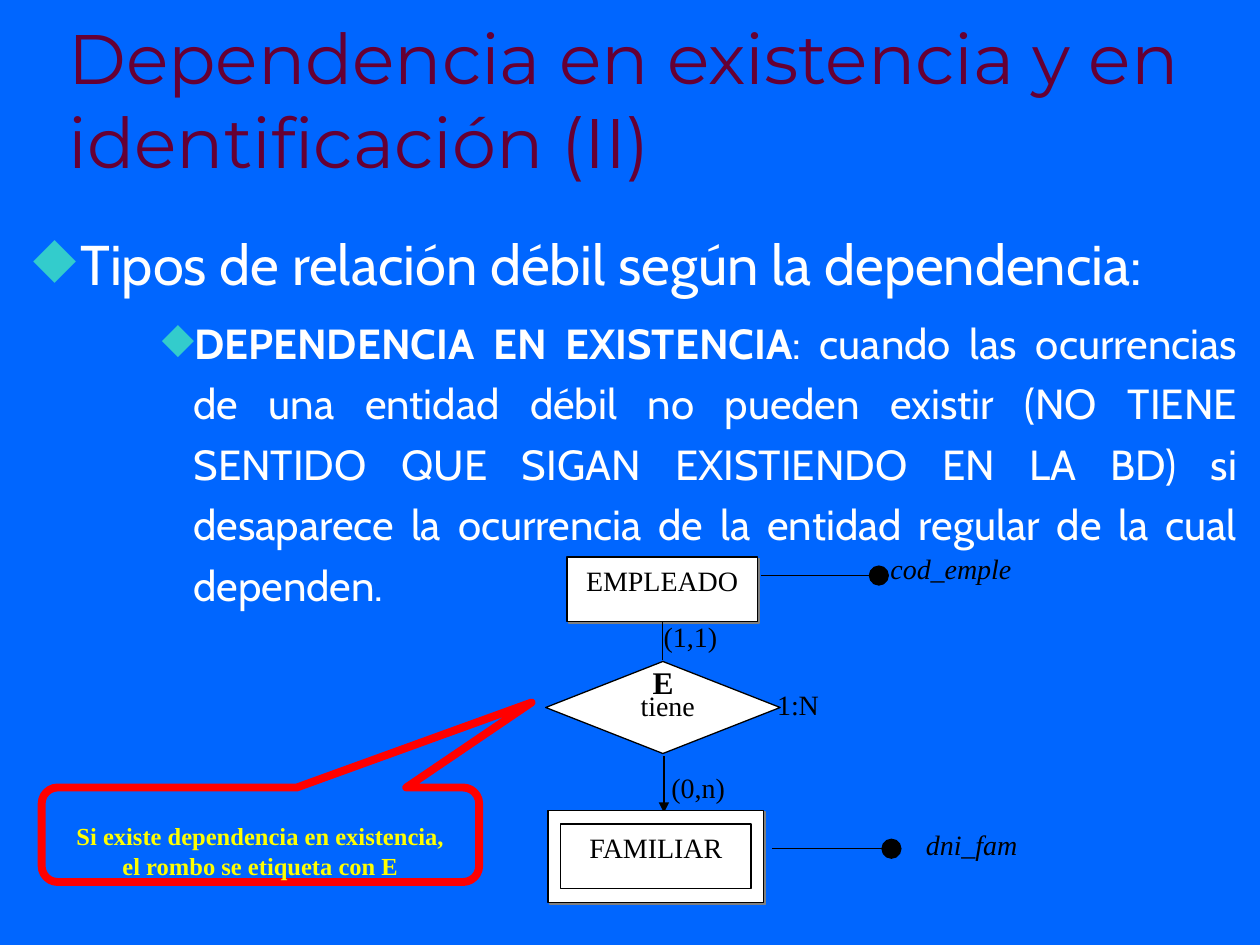
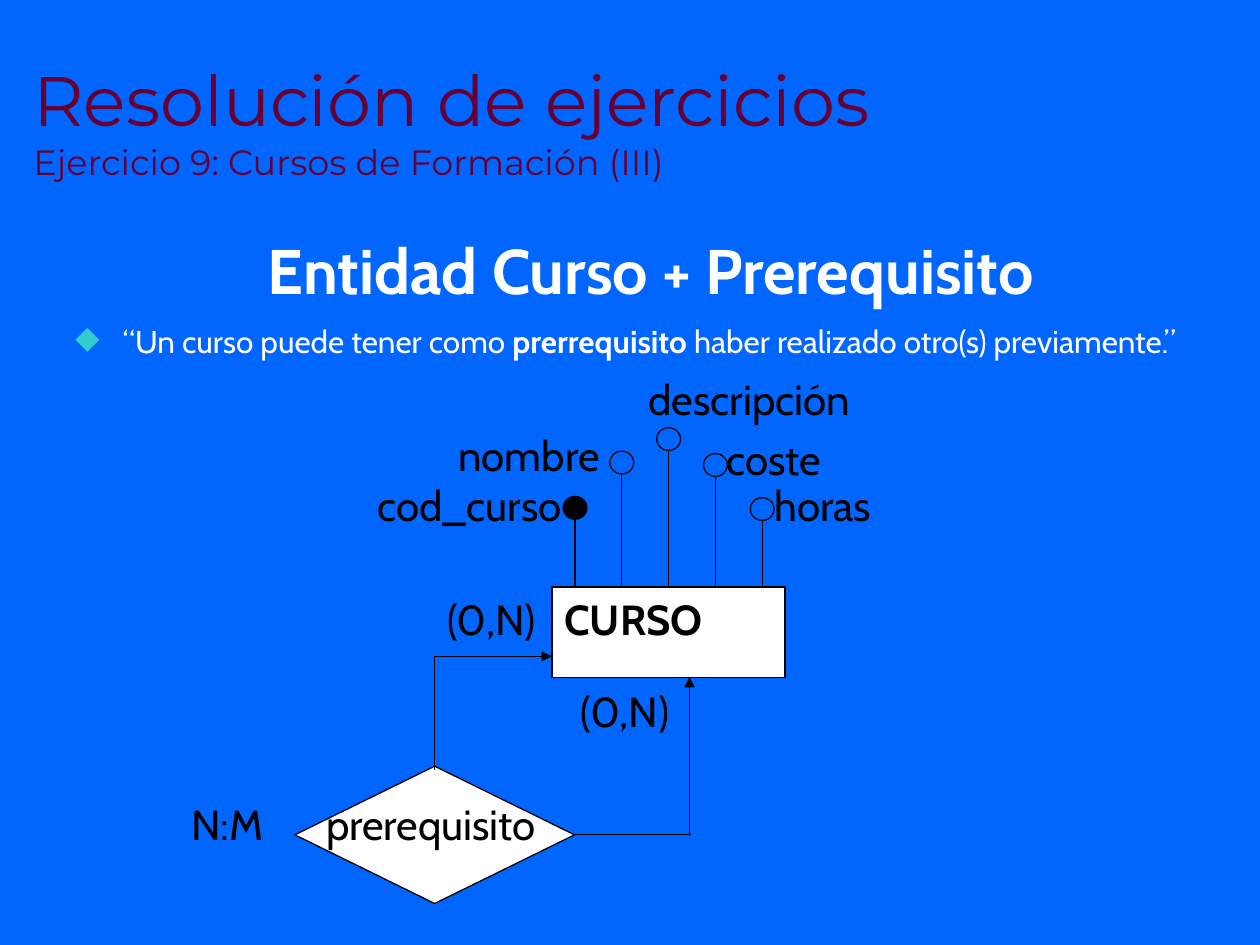
from lxml import etree
from pptx import Presentation
from pptx.dml.color import RGBColor
from pptx.enum.shapes import MSO_CONNECTOR, MSO_SHAPE
from pptx.enum.text import MSO_ANCHOR, PP_ALIGN
from pptx.oxml.ns import qn
from pptx.util import Pt

RECT, OVAL, DIAMOND = MSO_SHAPE.RECTANGLE, MSO_SHAPE.OVAL, MSO_SHAPE.DIAMOND
DECISION = MSO_SHAPE.FLOWCHART_DECISION
CALLOUT = MSO_SHAPE.ROUNDED_RECTANGULAR_CALLOUT
STRAIGHT = MSO_CONNECTOR.STRAIGHT
TOP, MIDDLE, BOTTOM = MSO_ANCHOR.TOP, MSO_ANCHOR.MIDDLE, MSO_ANCHOR.BOTTOM
LEFT, CENTER, JUSTIFY = PP_ALIGN.LEFT, PP_ALIGN.CENTER, PP_ALIGN.JUSTIFY

BLUE, MAROON, TEAL, GRAY = "0066FF", "660033", "33CCCC", "808080"
WHITE, BLACK, RED, YELLOW = "FFFFFF", "000000", "FF0000", "FFFF00"

TITLE = {"name": "Montserrat", "size": Pt(40), "color": MAROON}
BODY = {"name": "Cabin", "size": Pt(32), "color": WHITE}
SERIF = {"name": "Times New Roman", "size": Pt(16), "color": BLACK}
ATTRIBUTE = {**SERIF, "italic": True}
SANS = {"name": "Cabin", "size": Pt(24), "color": BLACK}
NOTE = {**SERIF, "size": Pt(14), "color": YELLOW, "bold": True}


def rgb(color):
    return RGBColor.from_string(color)


def sub(parent, tag, **attrs):
    return etree.SubElement(parent, qn(tag), attrs)


def add_run(p, text, fmt):
    if text == "\n":
        p.add_line_break()
        return
    r = p.add_run()
    r.text = text
    for name, value in fmt.items():
        if name == "color":
            r.font.color.rgb = rgb(value)
        else:
            setattr(r.font, name, value)


def add_bullet(p):
    pPr = p._p.get_or_add_pPr()
    sub(sub(pPr, "a:buClr"), "a:srgbClr", val=TEAL)
    sub(pPr, "a:buChar", char="◆")


def set_indent(p, margin, hanging):
    pPr = p._p.get_or_add_pPr()
    pPr.set("marL", str(Pt(margin)))
    pPr.set("indent", str(Pt(-hanging)))


def write(tf, paragraphs, fmt, align=LEFT, anchor=TOP):
    tf.word_wrap = True
    tf.vertical_anchor = anchor
    for i, runs in enumerate(paragraphs):
        p = tf.add_paragraph() if i else tf.paragraphs[0]
        p.alignment = align
        for text, changes in runs:
            add_run(p, text, {**fmt, **changes})


def add_text(s, box, paragraphs, fmt, align=LEFT, anchor=TOP):
    tf = s.shapes.add_textbox(*map(Pt, box)).text_frame
    write(tf, paragraphs, fmt, align, anchor)
    return tf


def add_label(s, box, text, fmt, align=LEFT):
    add_text(s, box, [[(text, {})]], fmt, align)


def add_title(s, left, width, runs):
    add_text(s, (left, 18, width, 90), [runs], TITLE, anchor=BOTTOM)


def add_body(s, left, width, items):
    tf = add_text(s, (left, 120, width, 408), [item["runs"] for item in items], BODY)
    for p, item in zip(tf.paragraphs, items):
        set_indent(p, *item.get("indent", (27, 27)))
        if item.get("bullet", True):
            add_bullet(p)
        p.alignment = item.get("align", JUSTIFY)
        p.line_spacing = 1.2
        if "before" in item:
            p.space_before = Pt(item["before"])


def add_box(s, kind, box, fill=WHITE, line=BLACK, width=0.75, shadow=False):
    sp = s.shapes.add_shape(kind, *map(Pt, box))
    sp.shadow.inherit = False
    if fill:
        sp.fill.solid()
        sp.fill.fore_color.rgb = rgb(fill)
    else:
        sp.fill.background()
    sp.line.color.rgb = rgb(line)
    sp.line.width = Pt(width)
    if shadow:
        effects = sp._element.spPr.find(qn("a:effectLst"))
        outer = sub(effects, "a:outerShdw", dist=str(Pt(1.4)), dir="2700000", algn="ctr")
        sub(outer, "a:srgbClr", val=GRAY)
    return sp


def add_entity(s, box, text, fmt, align=CENTER, shadow=False):
    sp = add_box(s, RECT, box, shadow=shadow)
    write(sp.text_frame, [[(text, {})]], fmt, align)


def add_line(s, x1, y1, x2, y2, arrow=False):
    c = s.shapes.add_connector(STRAIGHT, *map(Pt, (x1, y1, x2, y2)))
    c.line.color.rgb = rgb(BLACK)
    c.line.width = Pt(0.75)
    spPr = c._element.spPr
    if arrow:
        sub(spPr.find(qn("a:ln")), "a:tailEnd", type="triangle")
    sub(spPr, "a:effectLst")


def add_callout(s, box, lines):
    sp = add_box(s, CALLOUT, box, BLUE, RED, 4.5)
    for i, value in enumerate((0.62, -1.4, 0.17)):
        sp.adjustments[i] = value
    tf = sp.text_frame
    write(tf, [[(line, {})] for line in lines], NOTE, CENTER, MIDDLE)
    tf.word_wrap = False
    tf.margin_top = Pt(22)


def new_slide(prs):
    s = prs.slides.add_slide(prs.slide_layouts[6])
    s.background.fill.solid()
    s.background.fill.fore_color.rgb = rgb(BLUE)
    return s


def build_dependency(prs):
    s = new_slide(prs)
    add_title(s, 32, 652, [("Dependencia en existencia y en identificación (II)", {})])
    level2 = {"size": Pt(24)}
    add_body(s, 12, 702, [
        {"runs": [("Tipos de relación débil según la dependencia:", {})]},
        {"runs": [
            ("DEPENDENCIA EN EXISTENCIA", {**level2, "bold": True}),
            (": cuando las ocurrencias de una entidad débil no pueden existir "
             "(NO TIENE SENTIDO QUE SIGAN EXISTIENDO EN LA BD) si desaparece la "
             "ocurrencia de la entidad regular de la cual dependen.", level2)],
         "indent": (91.5, 18), "before": 6},
    ])

    add_entity(s, (324, 318.3, 108.7, 36.7), "EMPLEADO", SERIF, shadow=True)
    add_box(s, DECISION, (311.8, 378, 134, 52.6))
    add_label(s, (345.6, 390.2, 72, 31.7), "tiene", SERIF, CENTER)
    add_line(s, 378.7, 377.3, 378.7, 355.7)
    add_line(s, 379.4, 432, 379.4, 464.4, arrow=True)
    for text, left, top in (("1:N", 437, 389.5), ("(0,n)", 376.6, 437), ("(1,1)", 372.2, 350.6)):
        add_label(s, (left, top, 52, 42.5), text, SERIF)
    add_label(s, (365.8, 375.1, 31.7, 31.7), "E", {**SERIF, "size": Pt(18), "bold": True})

    for text, line_left, dot_left, y, text_left, text_top in (
            ("cod_emple", 435, 496.8, 328.9, 501.8, 311.8),
            ("dni_fam", 441.4, 504, 485, 522, 469.4)):
        add_box(s, OVAL, (dot_left, y - 5.4, 10.8, 10.8), BLACK)
        add_line(s, line_left, y, dot_left, y)
        add_label(s, (text_left, text_top, 92, 31.7), text, ATTRIBUTE)

    add_box(s, RECT, (313.2, 463, 123.1, 52.6), shadow=True)
    add_entity(s, (320.4, 470.9, 108.7, 36.7), "FAMILIAR", SERIF)
    add_callout(s, (23.8, 450, 250, 54),
                ["Si existe dependencia en existencia,", "el rombo se etiqueta con E"])


def build_course(prs):
    s = new_slide(prs)
    add_title(s, 12, 708, [
        ("Resolución de ejercicios", {}), ("\n", {}),
        ("Ejercicio 9: Cursos de Formación (III)", {"size": Pt(20)})])
    quote = {"size": Pt(18)}
    add_body(s, 36, 672, [
        {"runs": [("Entidad Curso + Prerequisito", {"size": Pt(36), "bold": True})],
         "bullet": False, "align": CENTER},
        {"runs": [("“Un curso puede tener como ", quote),
                  ("prerrequisito", {**quote, "bold": True}),
                  (" haber realizado otro(s) previamente.”", quote)],
         "before": 4.5},
    ])

    course_top = 335.5
    add_entity(s, (315.4, course_top, 133.2, 51.8), "CURSO", {**SANS, "bold": True}, LEFT)
    attributes = (
        ("cod_curso", 283.7, 208.8, 270.7, BLACK),
        ("nombre", 257.8, 254.9, 241.9, None),
        ("descripción", 244.4, 363.6, 210.2, None),
        ("coste", 259.2, 408.2, 244.1, None),
        ("horas", 284.4, 435.6, 270.7, None))
    for i, (text, dot_top, left, top, fill) in enumerate(attributes):
        x = 328.6 + 26.75 * i
        add_box(s, OVAL, (x - 6.8, dot_top, 13.6, 13), fill)
        add_line(s, x, course_top, x, dot_top + 13)
        add_label(s, (left, top, 147, 39), text, SANS)

    add_box(s, DIAMOND, (168.5, 437.8, 159.8, 78.5))
    add_line(s, 328.3, 476.9, 394.6, 476.9)
    add_line(s, 248.4, 439.9, 248.4, 375.1)
    add_line(s, 248.4, 375.1, 315.4, 375.1, arrow=True)
    add_line(s, 394, 478, 394, 386.8, arrow=True)
    for text, left, top in (("prerequisito", 179.3, 452.9), ("N:M", 102.2, 452.9),
                            ("(0,N)", 324.8, 388), ("(0,N)", 248.4, 335.5)):
        add_label(s, (left, top, 147, 39), text, SANS)


def main():
    prs = Presentation()
    prs.slide_width, prs.slide_height = Pt(720), Pt(540)
    build_dependency(prs)
    build_course(prs)
    prs.save("out.pptx")


if __name__ == "__main__":
    main()
